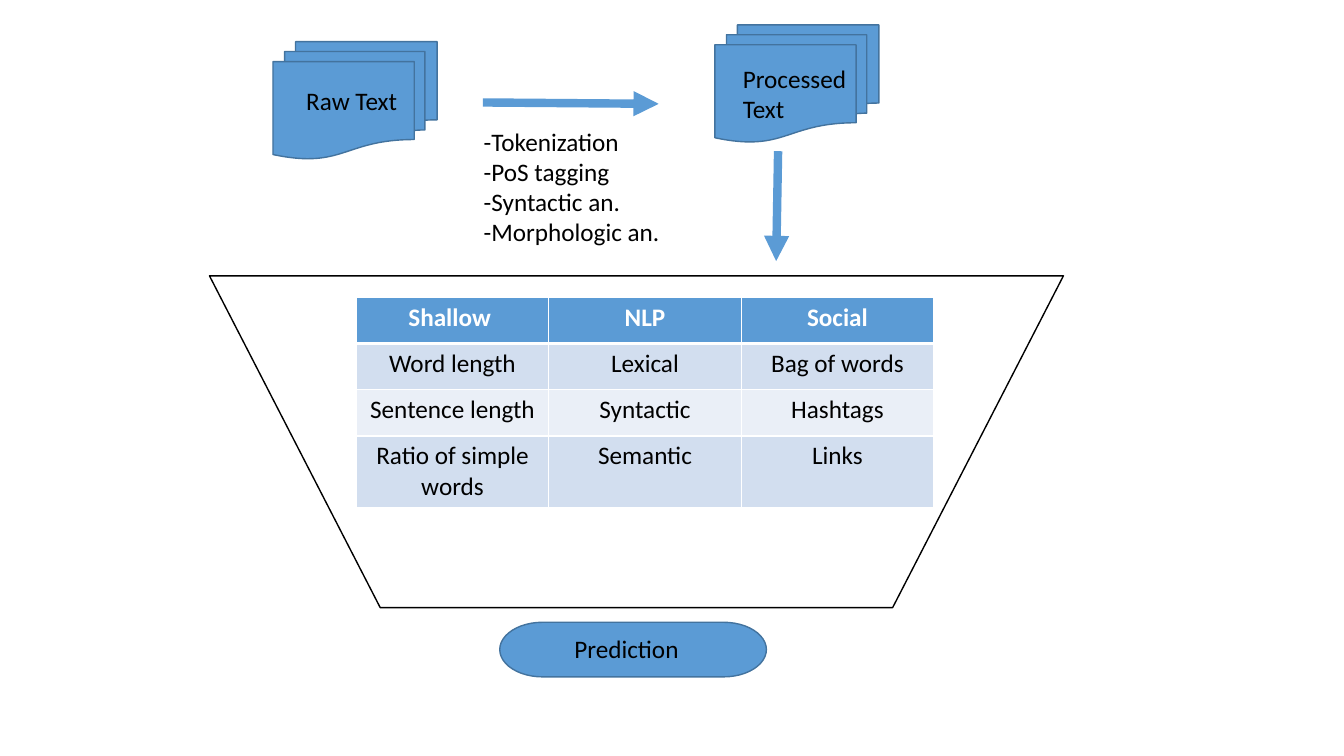
from lxml.etree import SubElement
from pptx import Presentation
from pptx.dml.color import RGBColor
from pptx.enum.shapes import MSO_CONNECTOR, MSO_SHAPE
from pptx.enum.text import MSO_AUTO_SIZE, PP_ALIGN
from pptx.oxml import parse_xml
from pptx.oxml.ns import nsdecls, qn
from pptx.util import Pt

BLUE, BLUE_EDGE, WHITE, BLACK = "5B9BD5", "43739E", "FFFFFF", "000000"
BANDS = ["D2DEEF", "EAEFF7"]


def color(value):
    """Turn a hex string into a colour."""
    return RGBColor.from_string(value)


def write(para, text, ink=BLACK, bold=False):
    """Add one formatted span of text to a paragraph."""
    span = para.add_run()
    span.text = text
    for name, value in {"name": "Calibri", "size": Pt(18), "bold": bold}.items():
        setattr(span.font, name, value)
    span.font.color.rgb = color(ink)


deck = Presentation()
deck.slide_width, deck.slide_height = Pt(960), Pt(540)
page = deck.slides.add_slide(deck.slide_layouts[6])

# Process steps: documents, feature funnel, prediction
documents = MSO_SHAPE.FLOWCHART_MULTIDOCUMENT
steps = [
    (MSO_SHAPE.FLOWCHART_TERMINATOR, (357, 444.5, 190.5, 39), BLUE, BLUE_EDGE),
    (MSO_SHAPE.FLOWCHART_MANUAL_OPERATION, (149.6, 197, 610, 237), WHITE, BLACK),
    (documents, (195, 29.8, 117.2, 83.8), BLUE, BLUE_EDGE),
    (documents, (510.6, 17.8, 117.2, 83.8), BLUE, BLUE_EDGE),
]
for kind, place, fill, edge in steps:
    step = page.shapes.add_shape(kind, *map(Pt, place))
    step.shadow.inherit = False
    step.fill.solid()
    step.fill.fore_color.rgb = color(fill)
    step.line.color.rgb = color(edge)
    step.line.width = Pt(1)

# Arrows between the steps
for ends in [(345, 73.2, 470.5, 74.2), (555.8, 108, 554.4, 186.5)]:
    arrow = page.shapes.add_connector(MSO_CONNECTOR.STRAIGHT, *map(Pt, ends))
    arrow.line.color.rgb = color(BLUE)
    arrow.line.width = Pt(6)
    SubElement(arrow.line._get_or_add_ln(), qn("a:tailEnd"), type="triangle")
    SubElement(arrow._element.spPr, qn("a:effectLst"))

# Feature table
features = [
    ["Shallow ", "NLP", "Social"],
    ["Word length", "Lexical", "Bag of words"],
    ["Sentence length", "Syntactic", "Hashtags"],
    ["Ratio of simple words", "Semantic", "Links"],
]
table = page.shapes.add_table(4, 3, Pt(254.5), Pt(212.4), Pt(412.5), Pt(132)).table
for column in table.columns:
    column.width = Pt(137.5)
for row, words in enumerate(features):
    header = row == 0
    table.rows[row].height = Pt(33)
    for col, word in enumerate(words):
        cell = table.cell(row, col)
        cell.fill.solid()
        cell.fill.fore_color.rgb = color(BLUE if header else BANDS[(row - 1) % 2])
        para = cell.text_frame.paragraphs[0]
        para.alignment = PP_ALIGN.CENTER
        write(para, word, WHITE if header else BLACK, header)
        for index, side in enumerate("LRTB"):
            thick = (header and side == "B") or (row == 1 and side == "T")
            border = parse_xml(
                f'<a:ln{side} {nsdecls("a")} w="{Pt(3 if thick else 1)}"><a:solidFill>'
                f'<a:srgbClr val="{WHITE}"/></a:solidFill></a:ln{side}>'
            )
            cell._tc.get_or_add_tcPr().insert(index, border)

# Labels
labels = [
    ((403.2, 448.6, 103, 29), ["Prediction"]),
    ((523.5, 41.8, 91.4, 51), ["Processed Text"]),
    ((211.7, 57.6, 83.5, 29), ["Raw Text"]),
    ((338.4, 86.4, 165.6, 94.3),
     ["-Tokenization", "-PoS tagging", "-Syntactic an.", "-Morphologic an."]),
]
for place, lines in labels:
    box = page.shapes.add_textbox(*map(Pt, place))
    frame = box.text_frame
    for name, value in {"word_wrap": True, "auto_size": MSO_AUTO_SIZE.SHAPE_TO_FIT_TEXT}.items():
        setattr(frame, name, value)
    for number, line in enumerate(lines):
        write(frame.add_paragraph() if number else frame.paragraphs[0], line)

deck.save("out.pptx")
